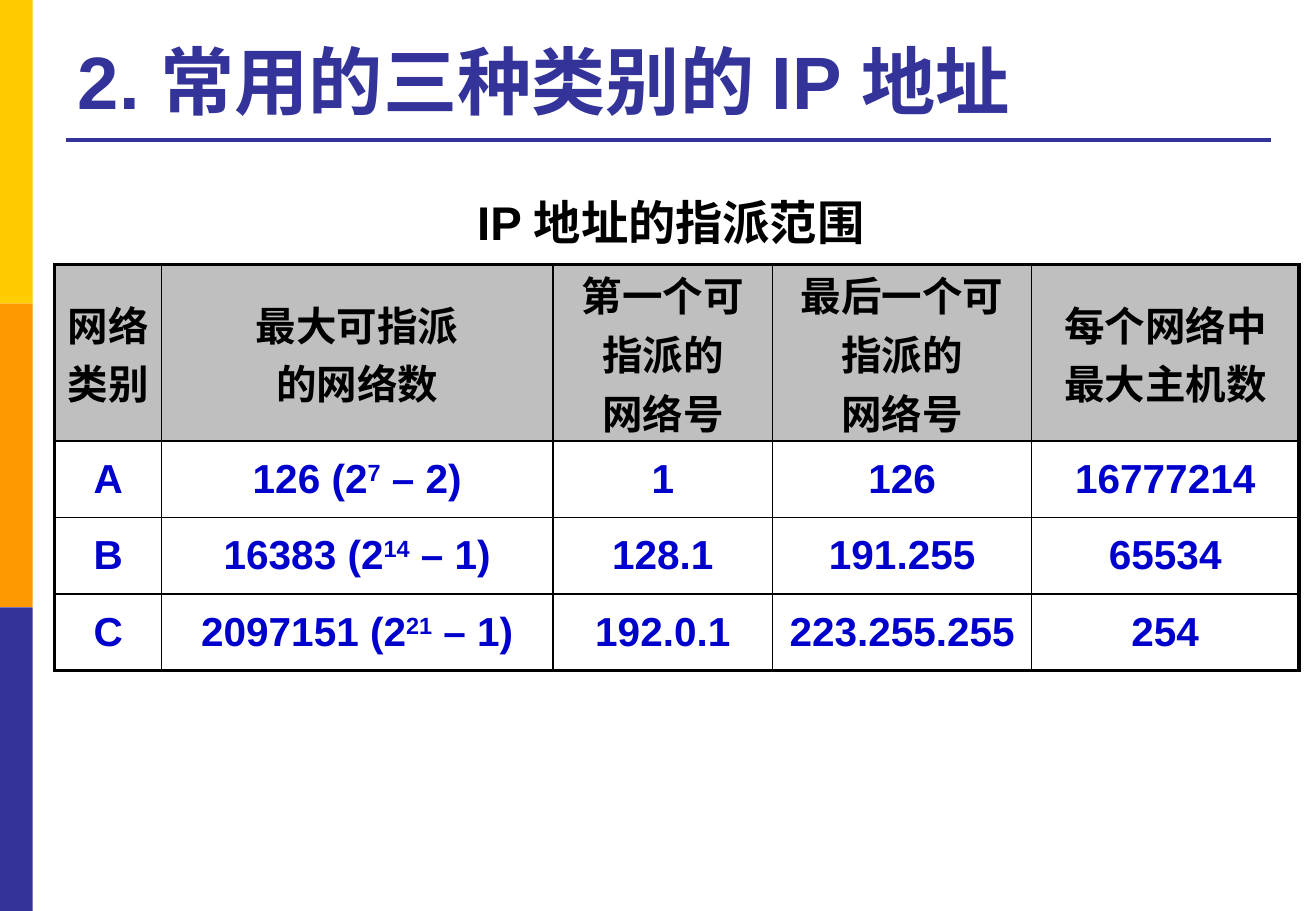
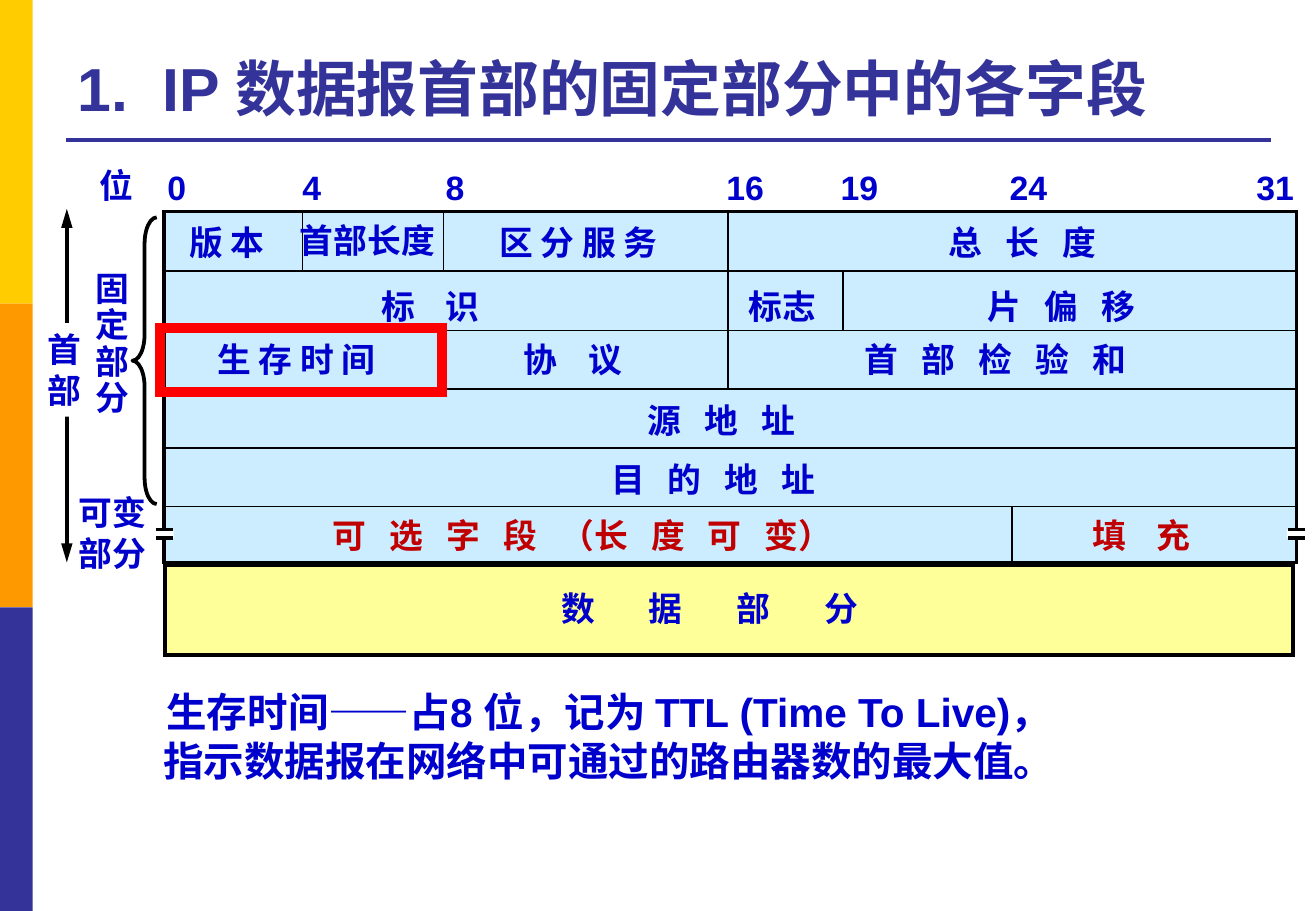
from lxml import etree
from pptx import Presentation
from pptx.dml.color import RGBColor
from pptx.enum.shapes import MSO_CONNECTOR, MSO_SHAPE
from pptx.enum.text import MSO_ANCHOR, MSO_AUTO_SIZE, PP_ALIGN
from pptx.oxml.ns import qn
from pptx.util import Emu, Pt

LEFT, CENTER = PP_ALIGN.LEFT, PP_ALIGN.CENTER
TOP, MIDDLE, BOTTOM = MSO_ANCHOR.TOP, MSO_ANCHOR.MIDDLE, MSO_ANCHOR.BOTTOM
GROW, FIXED = MSO_AUTO_SIZE.SHAPE_TO_FIT_TEXT, MSO_AUTO_SIZE.NONE
RECTANGLE, BRACE = MSO_SHAPE.RECTANGLE, MSO_SHAPE.LEFT_BRACE
STRAIGHT = MSO_CONNECTOR.STRAIGHT

SCALE = 9144
FONT = "Arial"
SPACE_POINTS = 4.56
COLORS = {
    "yellow": "FFCC00", "orange": "FF9900", "indigo": "333399",
    "black": "000000", "white": "FFFFFF", "gray": "BFBFBF",
    "blue": "0000CC", "crimson": "C00000", "red": "FF0000",
    "sky": "CCECFF", "cream": "FFFF99",
}
BANDS = ["yellow", "orange", "indigo"]
BAND_WIDTH, BAND_HEIGHT = 27, 250

CLASS_TITLE = ["2. 常用的三种类别的 IP 地址"]
CLASS_CAPTION = "IP 地址的指派范围"
CLASS_COLUMNS = [88, 322, 181, 213, 220]
CLASS_ROWS = [134, 63, 63, 63]
CLASS_HEADER = [
    ["网络", "类别"],
    ["最大可指派", "的网络数"],
    ["第一个可指派的", "网络号"],
    ["最后一个可指派的", "网络号"],
    ["每个网络中", "最大主机数"],
]
RAISED = {"baseline": 30000}
CLASS_BODY = [
    ["A", ["126 (2", ("7", RAISED), " – 2)"], "1", "126", "16777214"],
    ["B", ["16383 (2", ("14", RAISED), " – 1)"], "128.1", "191.255", "65534"],
    ["C", ["2097151 (2", ("21", RAISED), " – 1)"], "192.0.1", "223.255.255", "254"],
]

HEADER_TITLE = ["1.", (" ", {"spc": 1000}), "IP 数据报首部的固定部分中的各字段"]
BIT_MARKS = [("0", 128, 36), ("4", 239, 36), ("8", 357, 36), ("16", 588, 51),
             ("19", 682, 51), ("24", 821, 51), ("31", 1024, 51)]
FIELD_LABELS = [
    ("版 本", 146, 178, 84, 1, "blue"),
    ("首部长度", 237, 176, 132, 1, "blue"),
    ("区 分 服 务", 401, 178, 156, 1, "blue"),
    ("总 长 度", 771, 178, 151, 3, "blue"),
    ("标 识", 304, 230, 107, 4, "blue"),
    ("标志", 606, 230, 76, 1, "blue"),
    ("片 偏 移", 803, 230, 151, 3, "blue"),
    ("生 存 时 间", 169, 274, 156, 1, "blue"),
    ("协 议", 421, 274, 107, 4, "blue"),
    ("首 部 检 验 和", 702, 274, 254, 3, "blue"),
    ("源 地 址", 523, 324, 151, 3, "blue"),
    ("目 的 地 址", 493, 373, 202, 3, "blue"),
    ("可 选 字 段 （长 度 可 变）", 264, 419, 462, 3, "crimson"),
    ("填 充", 889, 419, 107, 4, "crimson"),
    ("数 据 部 分", 452, 479, 345, 7, "blue"),
    ("位", 72, 131, 48, 1, "blue"),
]
FIELD_TOP, FIELD_PITCH, FIELD_ROWS = 175, 48.4, 6
FIELD_DIVIDERS = [(249, 0, 1), (365, 0, 1), (365, 2, 3), (599, 0, 3),
                  (833, 5, 6), (694, 1, 2)]
BREAK_LEFTS, BREAK_TOP = [127, 1059], 436
TTL_NOTE = ["生存时间——占8 位，记为 TTL (Time To Live)，",
            "指示数据报在网络中可通过的路由器数的最大值。"]


def px(value):
    return Emu(round(value * SCALE))


def rgb(name):
    return RGBColor.from_string(COLORS[name])


def assign(target, formats):
    for name, value in formats.items():
        setattr(target, name, value)


def write(frame, paras, size, color, align=LEFT, line_spacing=None):
    for index, spans in enumerate(paras):
        para = frame.paragraphs[0] if index == 0 else frame.add_paragraph()
        assign(para, {"alignment": align, "line_spacing": line_spacing})
        for item in [spans] if isinstance(spans, str) else spans:
            text, extras = (item, {}) if isinstance(item, str) else item
            span = para.add_run()
            span.text = text
            assign(span.font, {"name": FONT, "size": Pt(size), "bold": True})
            span.font.color.rgb = rgb(color)
            for name, value in extras.items():
                span.font._element.set(name, str(value))


def spread(label, gap):
    if gap == 1:
        return label
    spans = []
    for index, word in enumerate(label.split(" ")):
        if index:
            spans.append((" ", {"spc": round((gap - 1) * SPACE_POINTS * 100)}))
        spans.append(word)
    return spans


def add_box(page, area, fill=None, line=None, weight=1, kind=RECTANGLE):
    box = page.shapes.add_shape(kind, *map(px, area))
    box.shadow.inherit = False
    if fill:
        box.fill.solid()
        box.fill.fore_color.rgb = rgb(fill)
    else:
        box.fill.background()
    if line:
        box.line.color.rgb = rgb(line)
        box.line.width = Pt(weight)
        if kind == RECTANGLE:
            etree.SubElement(box.line._get_or_add_ln(), qn("a:miter"), lim="800000")
    else:
        box.line.fill.background()
    return box


def add_line(page, start, end, color="black", weight=1, arrows=()):
    line = page.shapes.add_connector(STRAIGHT, *map(px, start + end))
    line.line.color.rgb = rgb(color)
    line.line.width = Pt(weight)
    for arrow in arrows:
        etree.SubElement(line.line._get_or_add_ln(), qn(arrow),
                         type="triangle", len="lg")
    etree.SubElement(line.element.spPr, qn("a:effectLst"))
    return line


def add_text(page, area, paras, size=20, color="blue", align=LEFT,
             wrap=False, line_spacing=None):
    box = page.shapes.add_textbox(*map(px, area))
    assign(box.text_frame, {"word_wrap": wrap, "auto_size": GROW})
    write(box.text_frame, paras, size, color, align, line_spacing)
    return box


def prepare_layout(layout, page):
    for holder in list(layout.placeholders)[1:]:
        holder.element.getparent().remove(holder.element)
    title = layout.placeholders[0]
    assign(title, dict(zip(("left", "top", "width", "height"),
                           map(px, (54, 20, 991, 87)))))
    assign(title.text_frame, {"vertical_anchor": BOTTOM, "auto_size": FIXED})
    shared = [add_box(page, (0, index * BAND_HEIGHT, BAND_WIDTH, BAND_HEIGHT), color)
              for index, color in enumerate(BANDS)]
    shared.append(add_line(page, (54, 115), (1046, 115), "indigo", 2.25))
    for shape in shared:
        layout.element.cSld.spTree.append(shape.element)


def set_borders(cell, weights):
    properties = cell._tc.get_or_add_tcPr()
    for index, (side, weight) in enumerate(zip("LRTB", weights)):
        border = etree.Element(qn(f"a:ln{side}"), w=str(Pt(weight)))
        fill = etree.SubElement(border, qn("a:solidFill"))
        etree.SubElement(fill, qn("a:srgbClr"), val=COLORS["black"])
        properties.insert(index, border)


def add_class_table(page):
    rows = [CLASS_HEADER] + [[[spans] for spans in row] for row in CLASS_BODY]
    last_row, last_column = len(CLASS_ROWS) - 1, len(CLASS_COLUMNS) - 1
    area = (45, 218, sum(CLASS_COLUMNS), sum(CLASS_ROWS))
    table = page.shapes.add_table(len(CLASS_ROWS), len(CLASS_COLUMNS),
                                  *map(px, area)).table
    assign(table, {"first_row": False, "horz_banding": False})
    for column, width in zip(table.columns, CLASS_COLUMNS):
        column.width = px(width)
    for row_index, (row, height) in enumerate(zip(rows, CLASS_ROWS)):
        table.rows[row_index].height = px(height)
        heading = row_index == 0
        for column_index, paras in enumerate(row):
            cell = table.cell(row_index, column_index)
            assign(cell, {"vertical_anchor": MIDDLE, "margin_left": px(8),
                          "margin_right": px(8), "margin_top": 0,
                          "margin_bottom": 0})
            write(cell.text_frame, paras, 24, "black" if heading else "blue", CENTER)
            if heading:
                cell.fill.solid()
                cell.fill.fore_color.rgb = rgb("gray")
            else:
                cell.fill.background()
            outer = (column_index == 0, column_index == last_column,
                     row_index == 0, row_index == last_row)
            set_borders(cell, [2.25 if edge else 1 for edge in outer])


def build_classes(page):
    write(page.shapes.title.text_frame, [CLASS_TITLE], 44, "indigo")
    add_class_table(page)
    add_text(page, (340, 154, 424, 57), [CLASS_CAPTION], 28, "black", CENTER, True)


def field_edge(row):
    return round(FIELD_TOP + FIELD_PITCH * row)


def build_header(page):
    write(page.shapes.title.text_frame, [HEADER_TITLE], 36, "indigo")
    add_text(page, (69, 219, 48, 131), list("固定部分"), line_spacing=0.9)
    add_text(page, (55, 400, 76, 77), ["可变", "部分"])
    add_box(page, (135, 174, 932, 289), "sky", "black", 2)
    add_box(page, (136, 465, 928, 74), "cream", "black", 2.25)
    for row in range(1, FIELD_ROWS):
        add_line(page, (134, field_edge(row)), (1068, field_edge(row)))
    for left, first, last in FIELD_DIVIDERS:
        add_line(page, (left, field_edge(first)), (left, field_edge(last)))
    for mark, left, width in BIT_MARKS:
        add_text(page, (left, 132, width, 43), [mark])
    for label, left, top, width, gap, color in FIELD_LABELS:
        add_text(page, (left, top, width, 43), [spread(label, gap)], color=color)
    for left in BREAK_LEFTS:
        add_box(page, (left, BREAK_TOP, 16, 7), "white")
        for top in (BREAK_TOP, BREAK_TOP + 7):
            add_line(page, (left + 1, top), (left + 15, top), weight=2)
    add_line(page, (55, 172), (55, 463), weight=2.25,
             arrows=("a:headEnd", "a:tailEnd"))
    side = add_box(page, (29, 266, 48, 77), "white")
    assign(side.text_frame, {"word_wrap": False, "auto_size": GROW,
                             "vertical_anchor": TOP})
    write(side.text_frame, list("首部"), 20, "blue")
    brace = add_box(page, (109, 179, 20, 236), None, "black", 2.25, BRACE)
    brace.adjustments[0] = 1.08
    add_text(page, (122, 561, 758, 91), TTL_NOTE, 24, align=CENTER, wrap=True)
    add_box(page, (132, 270, 232, 53), None, "red", 6)


def main():
    deck = Presentation()
    deck.slide_width, deck.slide_height = px(1083), px(750)
    layout = deck.slide_layouts[5]
    pages = [deck.slides.add_slide(layout) for _ in range(2)]
    prepare_layout(layout, pages[0])
    for build, page in zip((build_classes, build_header), pages):
        build(page)
    deck.save("out.pptx")


if __name__ == "__main__":
    main()
